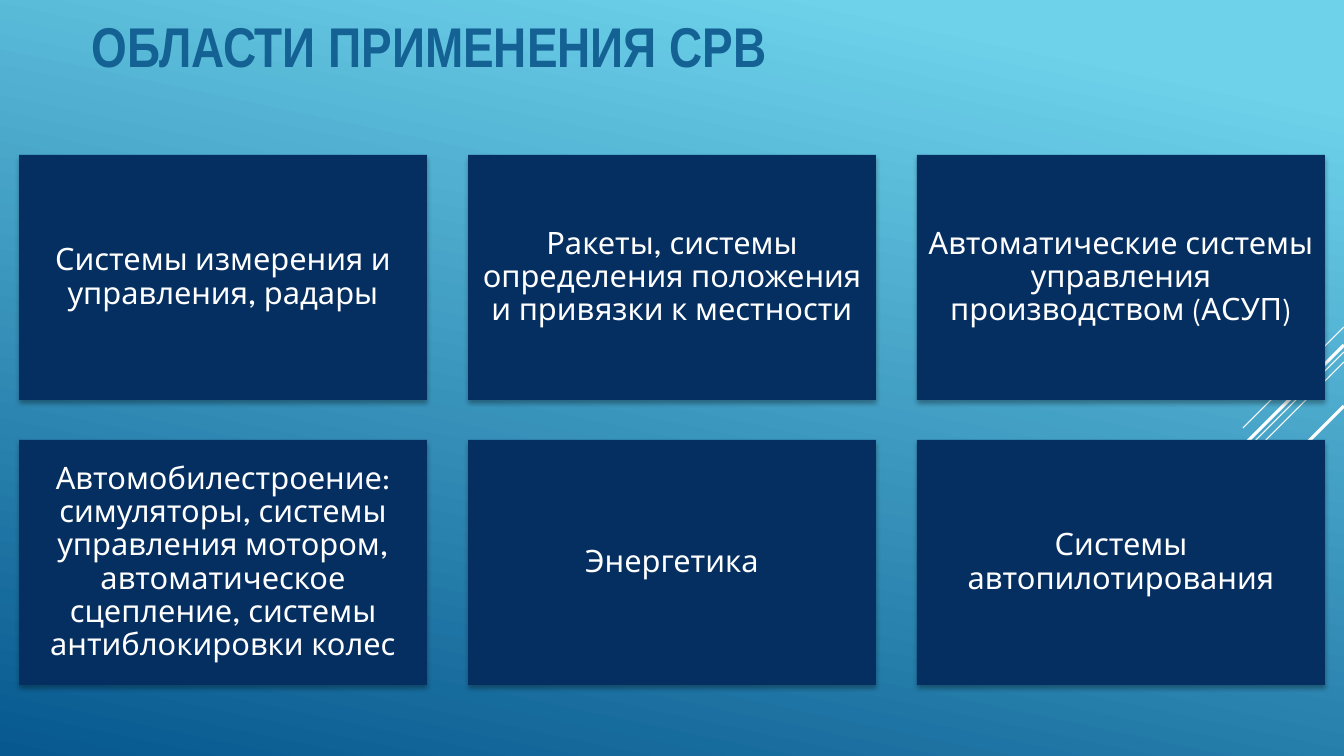
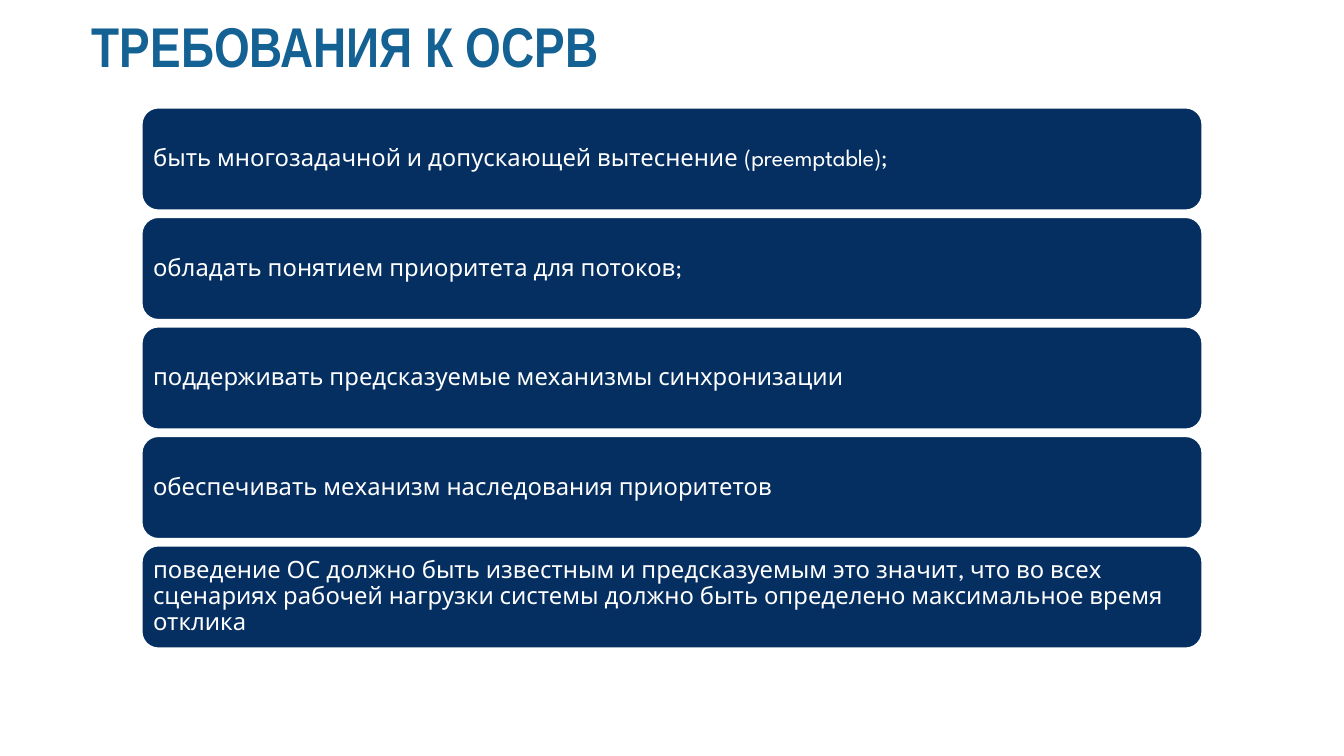
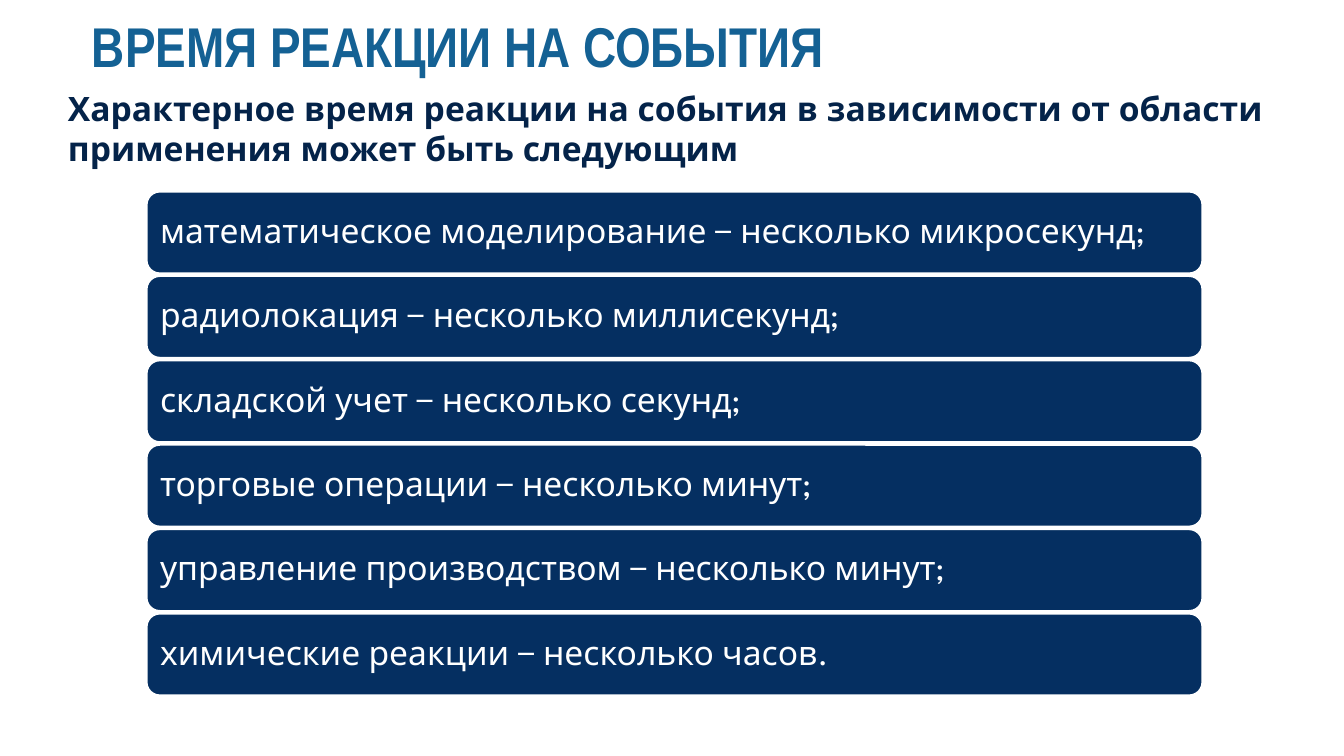
from lxml import etree
from pptx import Presentation, util as u
from pptx.dml.color import RGBColor
from pptx.enum import shapes, text
from pptx.oxml import ns

# Shared style
PX = 914400 / 100.8
WHITE = RGBColor(0xFF, 0xFF, 0xFF)
NAVY = RGBColor(0x05, 0x2F, 0x61)
INK = RGBColor(0x04, 0x23, 0x49)
TITLE_BLUE = RGBColor(0x14, 0x61, 0x94)
SKY = RGBColor(0x6E, 0xD2, 0xEB)
DEEP = RGBColor(0x06, 0x58, 0x8E)
HEAD_FONT = "Arial Narrow"
BODY_FONT = "League Spartan"
LEFT, CENTER = text.PP_ALIGN.LEFT, text.PP_ALIGN.CENTER
TOP, MIDDLE, BOTTOM = (text.MSO_ANCHOR.TOP, text.MSO_ANCHOR.MIDDLE,
                       text.MSO_ANCHOR.BOTTOM)

# Content
AREAS_TITLE = "ОБЛАСТИ ПРИМЕНЕНИЯ СРВ"
AREAS = [
    "Системы измерения и управления, радары",
    "Ракеты, системы определения положения и привязки к местности",
    "Автоматические системы управления производством (АСУП)",
    "Автомобилестроение: симуляторы, системы управления мотором, "
    "автоматическое сцепление, системы антиблокировки колес",
    "Энергетика",
    "Системы автопилотирования",
]
DEMANDS_TITLE = "ТРЕБОВАНИЯ К ОСРВ"
DEMANDS = [
    "быть многозадачной и допускающей вытеснение (preemptable);",
    "обладать понятием приоритета для потоков;",
    "поддерживать предсказуемые механизмы синхронизации",
    "обеспечивать механизм наследования приоритетов",
    "поведение ОС должно быть известным и предсказуемым это значит, "
    "что во всех сценариях рабочей нагрузки системы должно быть "
    "определено максимальное время отклика",
]
TIMES_TITLE = "ВРЕМЯ РЕАКЦИИ НА СОБЫТИЯ"
TIMES_LEAD = ("Характерное время реакции на события в зависимости от области "
              "применения может быть следующим")
TIMES = [
    "математическое моделирование − несколько микросекунд;",
    "радиолокация − несколько миллисекунд;",
    "складской учет − несколько секунд;",
    "торговые операции − несколько минут;",
    "управление производством − несколько минут;",
    "химические реакции − несколько часов.",
]
# Diagonal rays from the right edge: start y, run to the left and down, points
RAYS = [(327, 101, 0.75), (352, 328, 0.75), (362, 209, 0.75),
        (345, 192, 2.25), (406, 140, 2.25)]


def px(*lengths):
    return [u.Emu(round(length * PX)) for length in lengths]


def write(shape, words, size, color=WHITE, font=BODY_FONT, bold=False,
          align=LEFT, anchor=MIDDLE, inset=(10, 5), spacing=None):
    frame = shape.text_frame
    frame.word_wrap = True
    frame.vertical_anchor = anchor
    frame.margin_left, frame.margin_top = px(*inset)
    frame.margin_right, frame.margin_bottom = px(*inset)
    para = frame.paragraphs[0]
    para.alignment = align
    if spacing:
        para.line_spacing = spacing
    run = para.add_run()
    run.text = words
    run.font.size = u.Pt(size)
    run.font.name = font
    run.font.bold = bold
    run.font.color.rgb = color


def add_block(slide, kind, box):
    block = slide.shapes.add_shape(kind, *px(*box))
    block.shadow.inherit = False
    block.fill.solid()
    block.fill.fore_color.rgb = NAVY
    return block


def add_shadow(card):
    effects = card.element.spPr.find(ns.qn("a:effectLst"))
    shadow = etree.SubElement(
        effects, ns.qn("a:outerShdw"), blurRad=str(u.Pt(3.5)),
        dist=str(u.Pt(2.2)), dir="5400000", rotWithShape="0")
    black = etree.SubElement(shadow, ns.qn("a:srgbClr"), val="000000")
    etree.SubElement(black, ns.qn("a:alpha"), val="32000")


def add_rays(slide):
    for top, run, weight in RAYS:
        ray = slide.shapes.add_connector(
            shapes.MSO_CONNECTOR.STRAIGHT,
            *px(1344, top, 1344 - run, top + run))
        ray.line.color.rgb = WHITE
        ray.line.width = u.Pt(weight)
        etree.SubElement(ray.element.spPr, ns.qn("a:effectLst"))


def start_slide(deck, words):
    slide = deck.slides.add_slide(deck.slide_layouts[6])
    add_rays(slide)
    title = slide.shapes.add_textbox(*px(82, 13, 1205, 71))
    write(title, words, 40, color=TITLE_BLUE, font=HEAD_FONT, bold=True,
          anchor=BOTTOM)
    return slide


def add_bars(slide, items, box, height, size, inset):
    left, top, width, bottom = box
    step = (bottom - top - height) / (len(items) - 1)
    for i, item in enumerate(items):
        bar = add_block(slide, shapes.MSO_SHAPE.ROUNDED_RECTANGLE,
                        (left, top + i * step, width, height))
        bar.line.color.rgb = WHITE
        bar.line.width = u.Pt(2.25)
        write(bar, item, size, inset=(inset, inset), spacing=0.9)


def add_cards(slide, items, left=19, top=155, width=408, height=245,
              gaps=(41, 40), columns=3):
    for i, item in enumerate(items):
        row, column = divmod(i, columns)
        card = add_block(slide, shapes.MSO_SHAPE.RECTANGLE,
                         (left + column * (width + gaps[0]),
                          top + row * (height + gaps[1]), width, height))
        card.line.fill.background()
        add_shadow(card)
        write(card, item, 22, align=CENTER, inset=(9, 9), spacing=0.9)


def paint_gradient(slide):
    fill = slide.background.fill
    fill.gradient()
    fill.gradient_angle = 258
    for stop, (position, color) in zip(fill.gradient_stops,
                                       [(0.1, SKY), (1, DEEP)]):
        stop.position = position
        stop.color.rgb = color


def main():
    deck = Presentation()
    deck.slide_width, deck.slide_height = px(1344, 756)

    # Areas of use
    areas = start_slide(deck, AREAS_TITLE)
    paint_gradient(areas)
    add_cards(areas, AREAS)

    # Demands
    demands = start_slide(deck, DEMANDS_TITLE)
    add_bars(demands, DEMANDS, (141, 107, 1062, 649), 104, 17, 7)

    # Reaction times
    times = start_slide(deck, TIMES_TITLE)
    add_bars(times, TIMES, (146, 191, 1057, 696), 83, 24, 10)
    lead = times.shapes.add_textbox(*px(58, 83, 1228, 92))
    write(lead, TIMES_LEAD, 24, color=INK, bold=True, anchor=TOP)

    deck.save("out.pptx")


if __name__ == "__main__":
    main()
